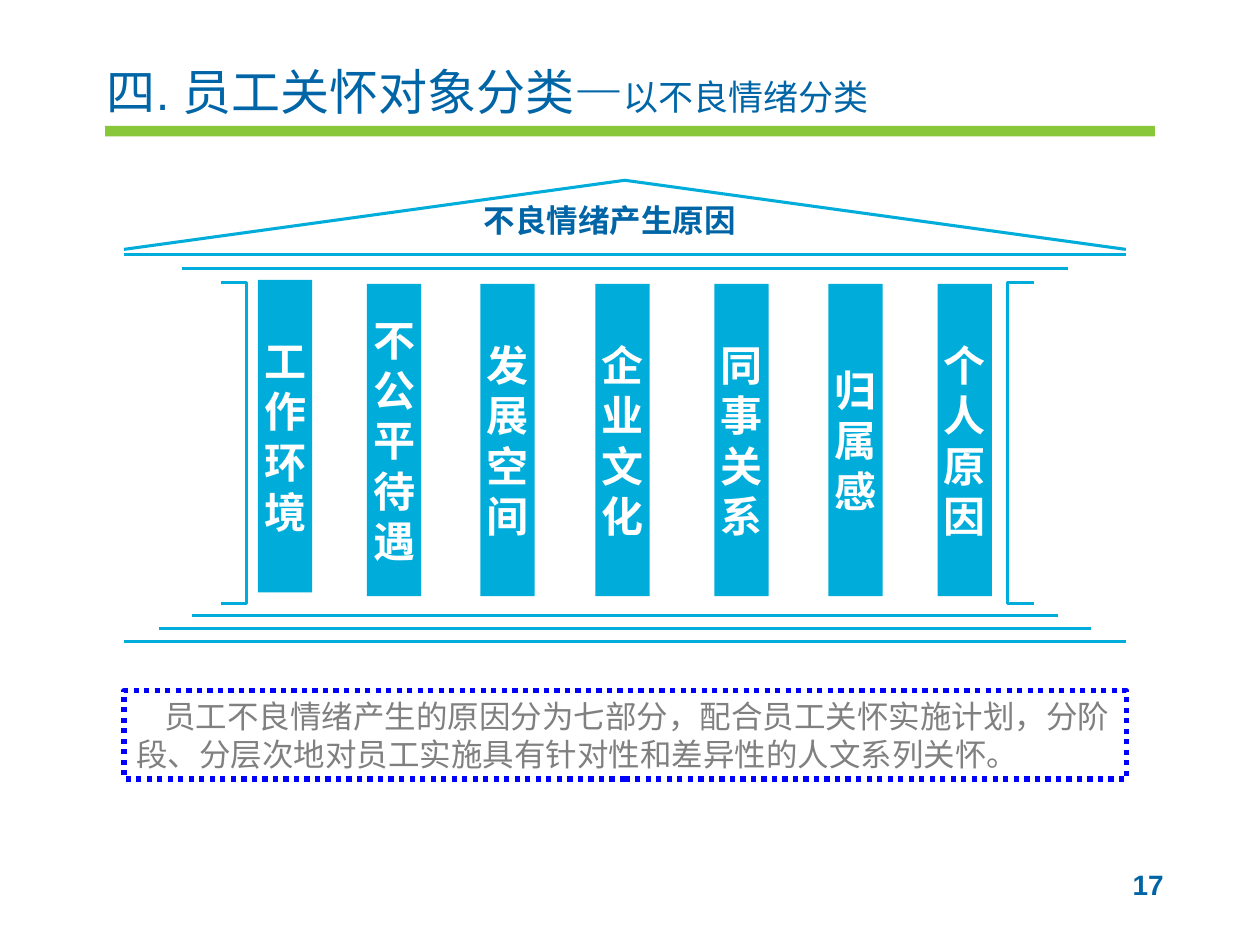
from lxml import etree
from pptx import Presentation
from pptx.dml.color import RGBColor
from pptx.enum.dml import MSO_LINE
from pptx.enum.shapes import MSO_CONNECTOR, MSO_SHAPE
from pptx.enum.text import MSO_ANCHOR, PP_ALIGN
from pptx.oxml.ns import qn
from pptx.util import Pt

RECT = MSO_SHAPE.RECTANGLE
LINE = MSO_CONNECTOR.STRAIGHT
DOTS = MSO_LINE.ROUND_DOT
TOP, MIDDLE = MSO_ANCHOR.TOP, MSO_ANCHOR.MIDDLE
LEFT, CENTER, RIGHT = PP_ALIGN.LEFT, PP_ALIGN.CENTER, PP_ALIGN.RIGHT

BLUE, CYAN, GREEN = "0065A6", "00ADDA", "88C63A"
SANS, CJK = "Arial", "Noto Sans CJK SC"
STROKE = 1.75

# left edge, top edge and wording, relative to the temple
PILLARS = [
    (76.6, 57, "工作环境"),
    (138.9, 59.2, "不公平待遇"),
    (203.7, 59.2, "发展空间"),
    (269.5, 59.2, "企业文化"),
    (337.5, 59.2, "同事关系"),
    (402.6, 59.2, "归属感"),
    (465, 59.2, "个人原因"),
]
# inset on both sides and height of each beam and step
BEAMS = [(0, 42.5), (33, 50.5), (39, 249), (20, 256.3), (0, 263.5)]


def paint(color):
    return RGBColor.from_string(color)


def style(para, size, color, font=SANS, bold=False, align=LEFT):
    para.alignment = align
    para.font.size = Pt(size)
    para.font.bold = bold
    para.font.name = font
    para.font.color.rgb = paint(color)
    props = para._p.pPr.find(qn("a:defRPr"))
    etree.SubElement(props, qn("a:ea")).set("typeface", CJK)


def pad(frame, side, edge):
    frame.margin_left = frame.margin_right = Pt(side)
    frame.margin_top = frame.margin_bottom = Pt(edge)


def label(slide, box, text):
    """Add a wrapped text box and return its paragraph."""
    frame = slide.shapes.add_textbox(*map(Pt, box)).text_frame
    frame.word_wrap = True
    frame.vertical_anchor = TOP
    pad(frame, 7.2, 3.6)
    frame.text = text
    return frame.paragraphs[0]


def block(slide, box, fill=None):
    shape = slide.shapes.add_shape(RECT, *map(Pt, box))
    shape.shadow.inherit = False
    shape.line.fill.background()
    if fill:
        shape.fill.solid()
        shape.fill.fore_color.rgb = paint(fill)
    else:
        shape.fill.background()
    return shape


def beam(slide, left, right, y):
    line = slide.shapes.add_connector(LINE, Pt(left), Pt(y), Pt(right), Pt(y))
    line.line.color.rgb = paint(CYAN)
    line.line.width = Pt(STROKE)
    etree.SubElement(line._element.spPr, qn("a:effectLst"))


def outline(slide, points):
    """Draw an open, unfilled line through the points."""
    first, *rest = [(Pt(x), Pt(y)) for x, y in points]
    pen = slide.shapes.build_freeform(*first)
    pen.add_line_segments(rest, close=False)
    shape = pen.convert_to_shape()
    shape.shadow.inherit = False
    shape.fill.background()
    shape.line.color.rgb = paint(CYAN)
    shape.line.width = Pt(STROKE)


def header(slide, x, y, width):
    block(slide, (x, y + 40.3, width, 6), GREEN)
    para = label(slide, (x - 6, y, 510.5, 49.7), "四. 员工关怀对象分类—")
    style(para, 28, BLUE)
    tail = para.add_run()
    tail.text = "以不良情绪分类"
    tail.font.size = Pt(20)


def pillar(slide, x, y, text):
    frame = block(slide, (x, y, 31, 178.5), CYAN).text_frame
    frame.word_wrap = False
    frame.vertical_anchor = MIDDLE
    pad(frame, 0, 0)
    frame.text = "\n".join(text)
    for para in frame.paragraphs:
        style(para, 24, "FFFFFF", CJK, True, CENTER)


def temple(slide, x, y, width):
    outline(slide, [(x, y + 39.5), (x + width / 2, y),
                    (x + width, y + 39.5)])
    for inset, drop in BEAMS:
        beam(slide, x + inset, x + width - inset, y + drop)
    high, low = y + 58.3, y + 242
    for edge, step in ((x + 55.3, 15), (x + width - 52.7, -15)):
        outline(slide, [(edge, high), (edge + step, high),
                        (edge + step, low), (edge, low)])
    for left, top, text in PILLARS:
        pillar(slide, x + left, y + top, text)
    para = label(slide, (x + 198.4, y + 8.6, 170, 11.5), "不良情绪产生原因")
    style(para, 18, BLUE, bold=True)


def note(slide, box):
    shape = block(slide, box)
    shape.line.color.rgb = paint("0000FF")
    shape.line.width = Pt(3)
    shape.line.dash_style = DOTS
    frame = shape.text_frame
    frame.word_wrap = True
    frame.vertical_anchor = TOP
    pad(frame, 7.2, 3.6)
    frame.text = ("员工不良情绪产生的原因分为七部分，配合员工关怀实施计划，"
                  "分阶段、分层次地对员工实施具有针对性和差异性的人文系列关怀。")
    para = frame.paragraphs[0]
    style(para, 18, "808080", CJK)
    para._p.pPr.set("indent", str(Pt(16)))


def number(slide, box):
    style(label(slide, box, "17"), 16, BLUE, bold=True, align=RIGHT)


def main():
    deck = Presentation()
    deck.slide_width, deck.slide_height = Pt(720), Pt(540)
    slide = deck.slides.add_slide(deck.slide_layouts[6])
    header(slide, 60, 31.7, 600)
    number(slide, (504, 492, 168, 37.5))
    note(slide, (70.8, 394.6, 572.8, 50.6))
    temple(slide, 70.8, 103, 572.5)
    deck.save("out.pptx")


if __name__ == "__main__":
    main()
